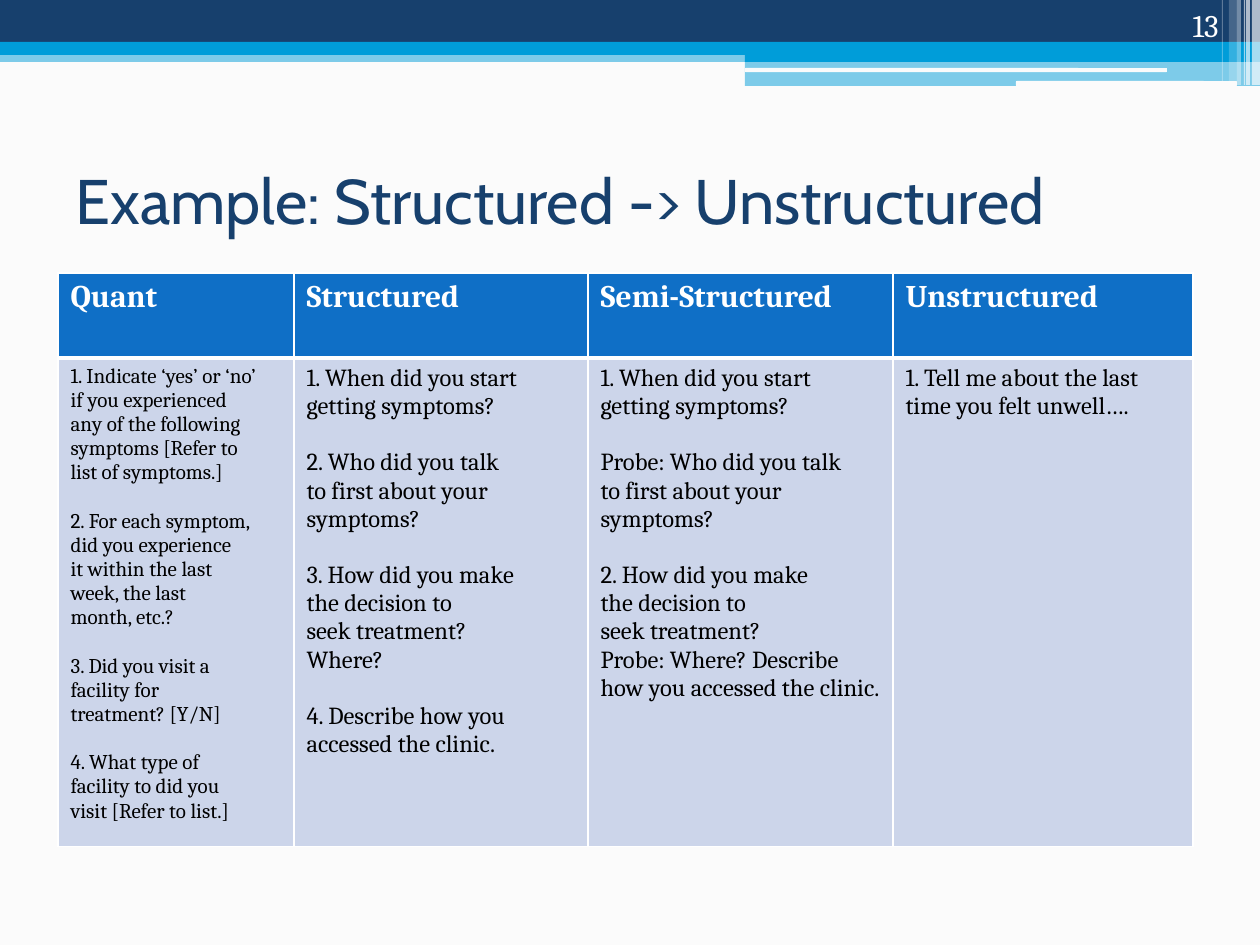
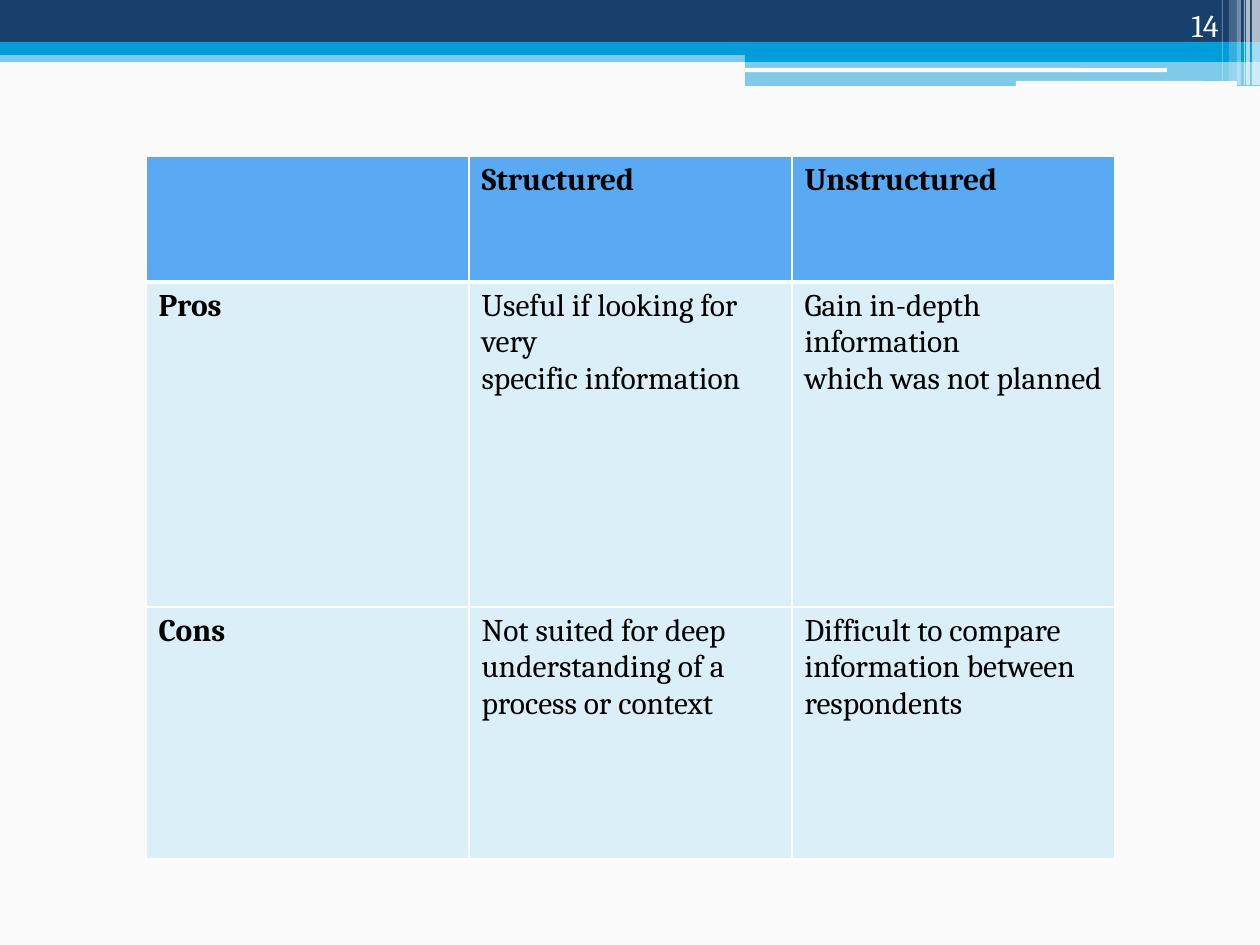
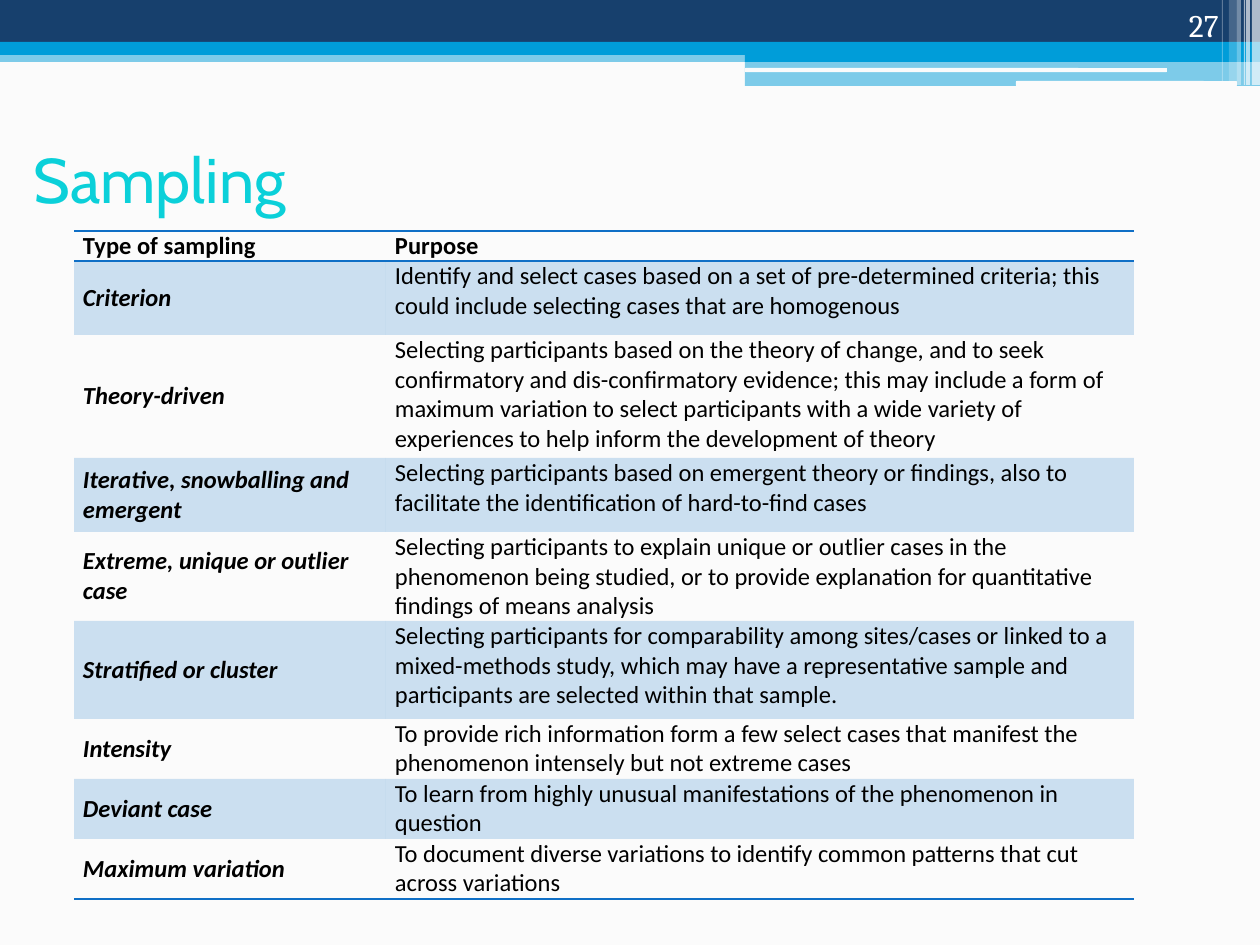
from pptx import Presentation, util as u
from pptx.dml.color import RGBColor
from pptx.enum import shapes, text
from pptx.oxml import parse_xml
from pptx.oxml.ns import nsdecls, qn
from lxml import etree

SCALE = 914400 // 126
NAVY, BLUE, SKY, PAPER, WHITE, BLACK = "17406D", "0F6FC6", "009DD9", "FBFBFB", "FFFFFF", "000000"
RECT, ROUND = shapes.MSO_SHAPE.RECTANGLE, shapes.MSO_SHAPE.ROUNDED_RECTANGLE

BANDS = [
    (RECT, 0, 50, 1260, 12, SKY, 50),
    (RECT, 0, 0, 1260, 43, NAVY, 100),
    (RECT, 0, 42, 1260, 13, SKY, 100),
    (RECT, 745, 49, 515, 13, SKY, 100),
    (RECT, 745, 61, 515, 25, SKY, 50),
    (ROUND, 745, 68, 422, 4, PAPER, 100),
    (ROUND, 1016, 81, 221, 5, PAPER, 100),
]
STRIPES = [(1252, 8, 85, 65), (1246, 4, 85, 65), (1244, 1, 85, 60),
           (1237, 4, 85, 40), (1229, 8, 81, 20), (1222, 1, 81, 30)]
BANDS += [(RECT, x, 0, w, h, WHITE, alpha) for x, w, h, alpha in STRIPES]


def px(n):
    return u.Emu(n * SCALE)


def rgb(color):
    return RGBColor.from_string(color)


def paint(fill, color, alpha=100):
    fill.solid()
    fill.fore_color.rgb = rgb(color)
    if alpha < 100:
        clr = fill._xPr.find(".//" + qn("a:srgbClr"))
        etree.SubElement(clr, qn("a:alpha"), val=str(alpha * 1000))


class Deck:
    def __init__(self):
        self.prs = Presentation()
        self.prs.slide_width, self.prs.slide_height = px(1260), px(945)

    def slide(self, number, title=None, at=None, color=NAVY):
        self.s = self.prs.slides.add_slide(self.prs.slide_layouts[5 if title else 6])
        paint(self.s.background.fill, PAPER)
        for band in BANDS:
            self.band(*band)
        if title:
            self.title(title, at, color)
        self.number(number)

    def band(self, kind, x, y, w, h, color, alpha):
        sp = self.s.shapes.add_shape(kind, px(x), px(y), px(w), px(h))
        sp.shadow.inherit = False
        sp.line.fill.background()
        paint(sp.fill, color, alpha)

    def put_text(self, tf, content, font, size, color, bold=False, italic=False,
                 align=text.PP_ALIGN.LEFT, space=0):
        groups = [group.split("\n") for group in content.split("\n\n")]
        tf.text = "\n".join(line for group in groups for line in group)
        starts = [sum(map(len, groups[:i])) for i in range(1, len(groups))]
        for i, p in enumerate(tf.paragraphs):
            p.alignment = align
            p.space_before = u.Pt(round(size * 1.15, 1) if i in starts else space)
            p.space_after = u.Pt(space)
            for r in p.runs:
                f = r.font
                f.name, f.size, f.bold, f.italic = font, u.Pt(size), bold, italic
                f.color.rgb = rgb(color)

    def title(self, content, at, color):
        sp = self.s.shapes.title
        sp.left, sp.top, sp.width, sp.height = map(px, at)
        tf = sp.text_frame
        tf.auto_size = text.MSO_AUTO_SIZE.NONE
        tf.vertical_anchor = text.MSO_ANCHOR.MIDDLE
        self.put_text(tf, content, "Cabin", 36, color)

    def number(self, n):
        tf = self.s.shapes.add_textbox(px(1126), px(0), px(105), px(50)).text_frame
        tf.word_wrap = True
        tf.vertical_anchor = text.MSO_ANCHOR.BOTTOM
        self.put_text(tf, str(n), "Cambria", 18, WHITE, align=text.PP_ALIGN.RIGHT)

    def table(self, x, y, cols, rows, cells, style):
        frame = self.s.shapes.add_table(len(rows), len(cols), px(x), px(y),
                                        px(sum(cols)), px(sum(rows)))
        tbl = frame.table
        tbl.first_row = tbl.horz_banding = False
        for column, width in zip(tbl.columns, cols):
            column.width = px(width)
        for row, height in zip(tbl.rows, rows):
            row.height = px(height)
        for i, line in enumerate(cells):
            for j, content in enumerate(line):
                style(tbl.cell(i, j), i, j, content)

    def borders(self, cell, **edges):
        tcPr = cell._tc.get_or_add_tcPr()
        for i, side in enumerate("LRTB"):
            color, width = edges.get(side, (None, 0))
            fill = f'<a:solidFill><a:srgbClr val="{color}"/></a:solidFill>' if color else "<a:noFill/>"
            tcPr.insert(i, parse_xml(
                f'<a:ln{side} {nsdecls("a")} w="{u.Pt(width)}">{fill}</a:ln{side}>'))

    def grid_cell(self, cell, fill, row):
        paint(cell.fill, fill)
        thin, thick = (WHITE, 1), (WHITE, 3)
        self.borders(cell, L=thin, R=thin, T=thick if row == 1 else thin,
                     B=thick if row == 0 else thin)


deck = Deck()


def question_cell(cell, i, j, content):
    deck.grid_cell(cell, "CCD5EA" if i else BLUE, i)
    size = (12 if j == 0 else 14) if i else 18
    deck.put_text(cell.text_frame, content, "Cambria", size, BLACK if i else WHITE, bold=i == 0)


def pros_cons_cell(cell, i, j, content):
    deck.grid_cell(cell, "DBEFF9" if i else "59AAF2", i)
    deck.put_text(cell.text_frame, content, "Cambria", 18, BLACK, bold=i == 0 or j == 0)


def sampling_cell(cell, i, j, content):
    if i % 2:
        paint(cell.fill, BLUE, 20)
    else:
        cell.fill.background()
    rule = (BLUE, 1)
    edges = {0: dict(T=rule, B=rule), 1: dict(T=rule), len(SAMPLING) - 1: dict(B=rule)}
    deck.borders(cell, **edges.get(i, {}))
    cell.margin_left = cell.margin_right = px(9)
    cell.margin_top = cell.margin_bottom = 0
    if i and j == 0:
        cell.vertical_anchor = text.MSO_ANCHOR.MIDDLE
    deck.put_text(cell.text_frame, content, "Calibri", 14, BLACK, bold=i == 0 or j == 0,
                  italic=i > 0 and j == 0, space=6)


QUESTIONS = [
    ["Quant", "Structured", "Semi-Structured", "Unstructured"],
    ["1. Indicate ‘yes’ or ‘no’\nif you experienced\nany of the following\n"
     "symptoms [Refer to\nlist of symptoms.]\n\n"
     "2. For each symptom,\ndid you experience\nit within the last\nweek, the last\nmonth, etc.?\n\n"
     "3. Did you visit a\nfacility for\ntreatment? [Y/N]\n\n"
     "4. What type of\nfacility to did you\nvisit [Refer to list.]",
     "1. When did you start\ngetting symptoms?\n\n"
     "2. Who did you talk\nto first about your\nsymptoms?\n\n"
     "3. How did you make\nthe decision to\nseek treatment?\nWhere?\n\n"
     "4. Describe how you\naccessed the clinic.",
     "1. When did you start\ngetting symptoms?\n\n"
     "Probe: Who did you talk\nto first about your\nsymptoms?\n\n"
     "2. How did you make\nthe decision to\nseek treatment?\n"
     "Probe: Where? Describe how you accessed the clinic.",
     "1. Tell me about the last time you felt unwell…."],
]

PROS_CONS = [
    ["", "Structured", "Unstructured"],
    ["Pros", "Useful if looking for very\nspecific information",
     "Gain in-depth information\nwhich was not planned"],
    ["Cons", "Not suited for deep\nunderstanding of a\nprocess or context",
     "Difficult to compare\ninformation between\nrespondents"],
]

SAMPLING = [
    ["Type of sampling", "Purpose"],
    ["Criterion", "Identify and select cases based on a set of pre-determined criteria; "
     "this could include selecting cases that are homogenous"],
    ["Theory-driven", "Selecting participants based on the theory of change, and to seek "
     "confirmatory and dis-confirmatory evidence; this may include a form of maximum variation "
     "to select participants with a wide variety of experiences to help inform the development "
     "of theory"],
    ["Iterative, snowballing and emergent", "Selecting participants based on emergent theory or "
     "findings, also to facilitate the identification of hard-to-find cases"],
    ["Extreme, unique or outlier case", "Selecting participants to explain unique or outlier "
     "cases in the phenomenon being studied, or to provide explanation for quantitative findings "
     "of means analysis"],
    ["Stratified or cluster", "Selecting participants for comparability among sites/cases or "
     "linked to a mixed-methods study, which may have a representative sample and participants "
     "are selected within that sample."],
    ["Intensity", "To provide rich information form a few select cases that manifest the "
     "phenomenon intensely but not extreme cases"],
    ["Deviant case", "To learn from highly unusual manifestations of the phenomenon in question"],
    ["Maximum variation", "To document diverse variations to identify common patterns that cut "
     "across variations"],
]

deck.slide(13, "Example: Structured -> Unstructured", (63, 126, 1134, 147))
deck.table(58, 273, [236, 294, 305, 300], [85, 471], QUESTIONS, question_cell)

deck.slide(14)
deck.table(146, 156, [323] * 3, [126, 325, 252], PROS_CONS, pros_cons_cell)

deck.slide(27, "Sampling", (21, 105, 1166, 147), "0BD0D9")
deck.table(74, 231, [312, 748], [30, 74, 123, 74, 89, 98, 60, 60, 60], SAMPLING, sampling_cell)

deck.prs.save("out.pptx")
